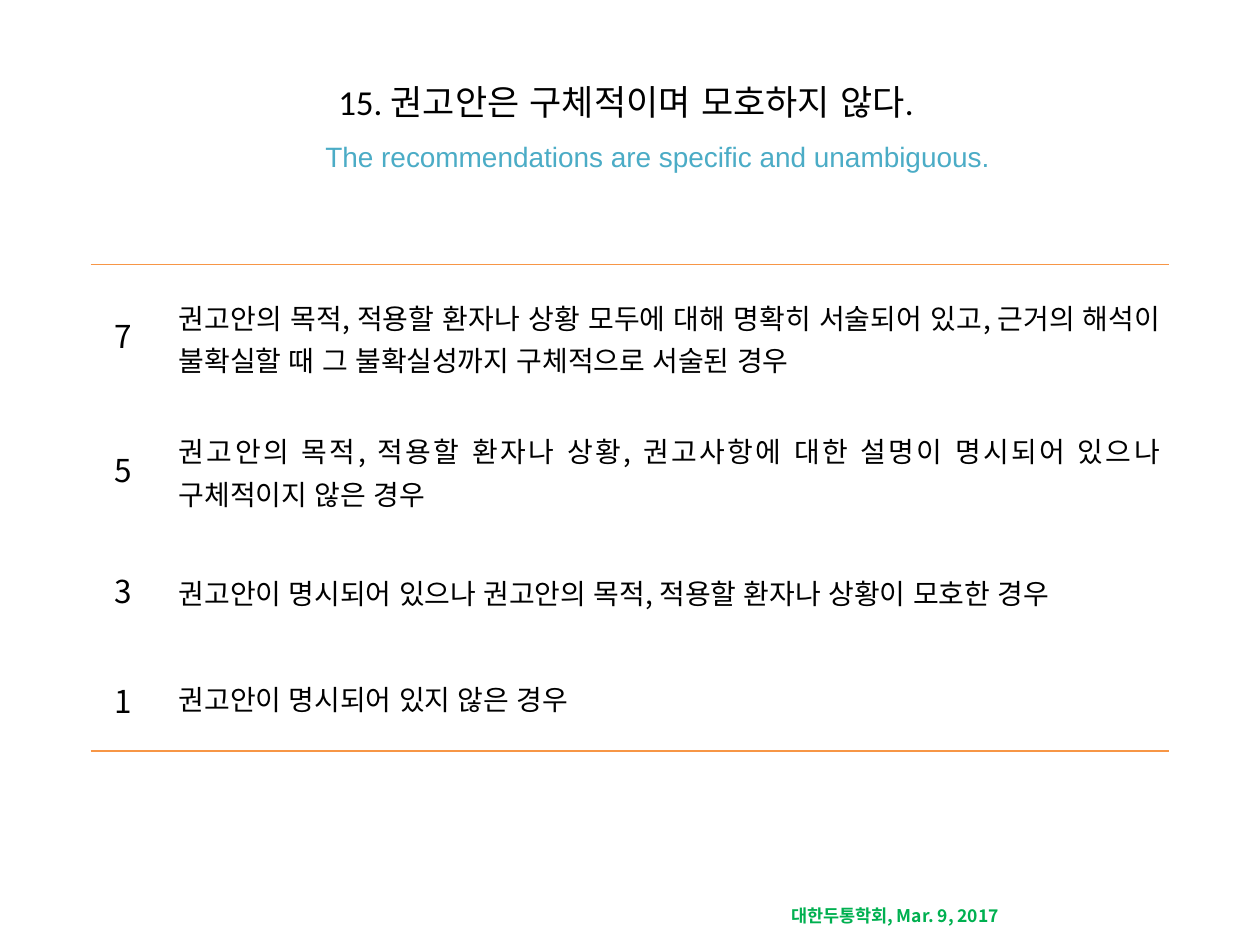
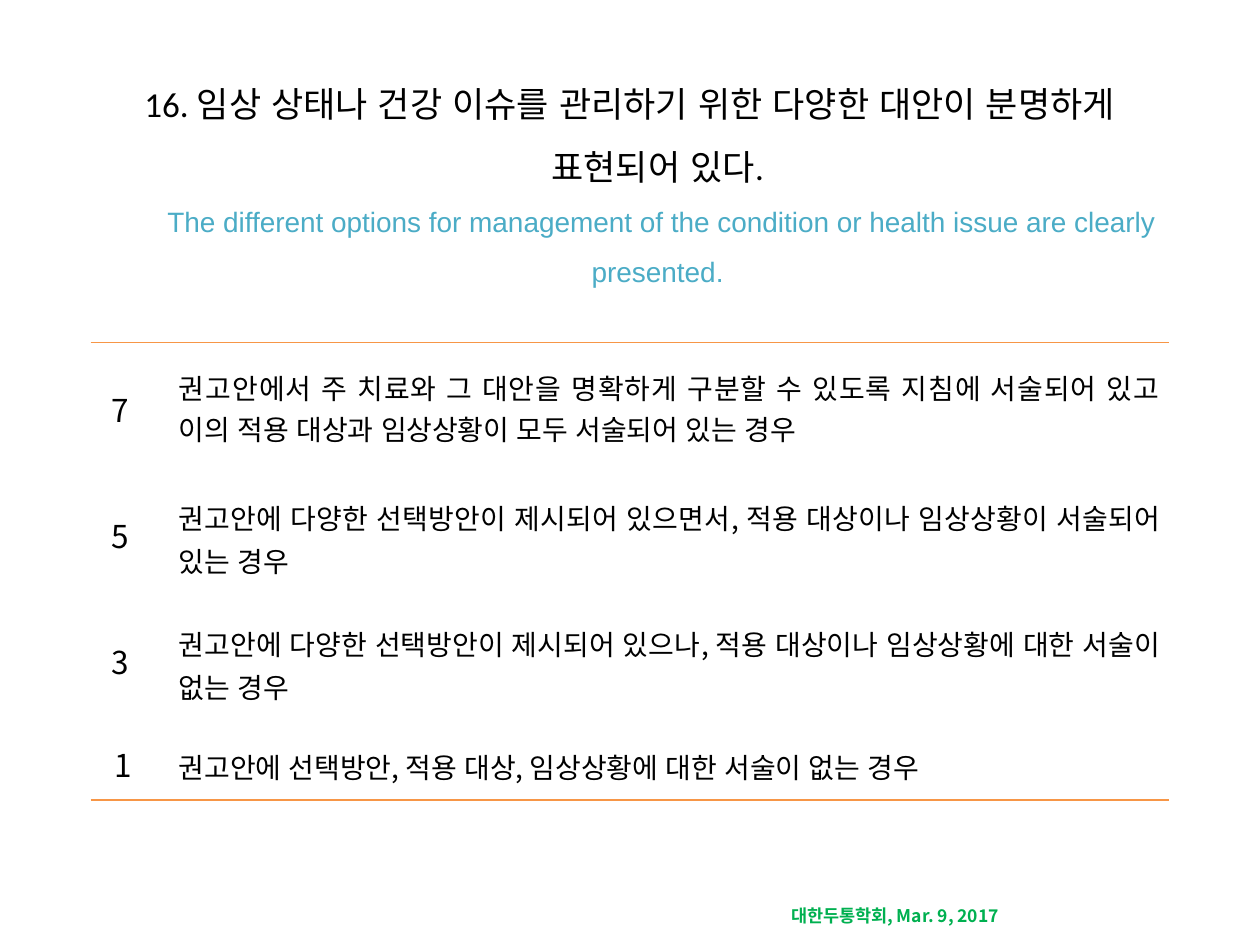
import pptx
import pptx.util
import pptx.dml.color
import pptx.enum.text
import pptx.oxml.ns
from lxml import etree

Inches = pptx.util.Inches
Pt = pptx.util.Pt
ALIGN = pptx.enum.text.PP_ALIGN
MIDDLE = pptx.enum.text.MSO_ANCHOR.MIDDLE

COLORS = {"text": "000000", "english": "4BACC6", "rule": "F79646", "footer": "00B050"}
KOREAN = "Noto Sans CJK KR"
ENGLISH = "Arial"
FOOTER = "대한두통학회, Mar. 9, 2017"
TABLE_LEFT = 0.72
COLUMNS = (0.63, 7.93)

CRITERIA = [
    {
        "korean": "15. 권고안은 구체적이며 모호하지 않다. ",
        "english": "The recommendations are specific and unambiguous. ",
        "title_top": 0.3,
        "title_height": 1.25,
        "table_top": 2.1,
        "row_heights": (1.06, 1.06, 0.87, 0.87),
        "scores": [
            ("7", "권고안의 목적, 적용할 환자나 상황 모두에 대해 명확히 서술되어 있고, 근거의 해석이 불확실할 때 그 불확실성까지 구체적으로 서술된 경우"),
            ("5", "권고안의 목적, 적용할 환자나 상황, 권고사항에 대한 설명이 명시되어 있으나 구체적이지 않은 경우"),
            ("3", "권고안이 명시되어 있으나 권고안의 목적, 적용할 환자나 상황이 모호한 경우"),
            ("1", "권고안이 명시되어 있지 않은 경우"),
        ],
    },
    {
        "korean": "16. 임상 상태나 건강 이슈를 관리하기 위한 다양한 대안이 분명하게 표현되어 있다. ",
        "english": "The different options for management of the condition or health issue are clearly presented. ",
        "title_top": 0.61,
        "title_height": 1.56,
        "table_top": 2.72,
        "row_heights": (1, 1, 1, 0.63),
        "scores": [
            ("7 ", "권고안에서 주 치료와 그 대안을 명확하게 구분할 수 있도록 지침에 서술되어 있고 이의 적용 대상과 임상상황이 모두 서술되어 있는 경우"),
            ("5 ", "권고안에 다양한 선택방안이 제시되어 있으면서, 적용 대상이나 임상상황이 서술되어 있는 경우"),
            ("3 ", "권고안에 다양한 선택방안이 제시되어 있으나, 적용 대상이나 임상상황에 대한 서술이 없는 경우"),
            ("1", "권고안에 선택방안, 적용 대상, 임상상황에 대한 서술이 없는 경우"),
        ],
    },
]


def add_element(parent, tag, **attributes):
    return etree.SubElement(parent, pptx.oxml.ns.qn(tag), **attributes)


def add_span(para, text, size, color, font=KOREAN, east_asian=ENGLISH, bold=False):
    span = para.add_run()
    span.text = text
    span.font.size = Pt(size)
    span.font.bold = bold
    span.font.color.rgb = pptx.dml.color.RGBColor.from_string(COLORS[color])
    span.font.name = font
    add_element(span.font._element, "a:ea", typeface=east_asian)


def add_title(page, criterion):
    title = page.shapes.title
    title.left, title.width = Inches(0.5), Inches(9)
    title.top = Inches(criterion["title_top"])
    title.height = Inches(criterion["title_height"])
    frame = title.text_frame
    frame.auto_size = pptx.enum.text.MSO_AUTO_SIZE.NONE
    frame.vertical_anchor = MIDDLE
    para = frame.paragraphs[0]
    para.alignment = ALIGN.CENTER
    para.line_spacing = 1.5
    properties = para._p.get_or_add_pPr()
    properties.set("marL", str(Inches(0.5)))
    properties.set("indent", str(Inches(-0.5)))
    add_span(para, criterion["korean"], 20, "text", "Calibri")
    para.add_line_break()
    add_span(para, criterion["english"], 16, "english", ENGLISH)


def add_borders(cell, ruled_sides):
    properties = cell._tc.get_or_add_tcPr()
    for side in "LRTB":
        line = add_element(properties, "a:ln" + side, w=str(Pt(1)))
        if side in ruled_sides:
            fill = add_element(line, "a:solidFill")
            add_element(fill, "a:srgbClr", val=COLORS["rule"])
        else:
            add_element(line, "a:noFill")


def fill_cell(cell, text, size, alignment, spacing, right_margin, ruled_sides):
    cell.vertical_anchor = MIDDLE
    cell.margin_left = Inches(0.07)
    cell.margin_right = Inches(right_margin)
    cell.margin_top = cell.margin_bottom = 0
    add_borders(cell, ruled_sides)
    cell.fill.background()
    para = cell.text_frame.paragraphs[0]
    para.alignment = alignment
    para.line_spacing = spacing
    add_span(para, text, size, "text")


def add_score_table(page, criterion):
    scores, heights = criterion["scores"], criterion["row_heights"]
    table = page.shapes.add_table(
        len(scores), len(COLUMNS), Inches(TABLE_LEFT), Inches(criterion["table_top"]),
        Inches(sum(COLUMNS)), Inches(sum(heights))).table
    table.first_row = table.horz_banding = False
    for column, width in zip(table.columns, COLUMNS):
        column.width = Inches(width)
    for index, (score, meaning) in enumerate(scores):
        table.rows[index].height = Inches(heights[index])
        ruled_sides = {0: "T", len(scores) - 1: "B"}.get(index, "")
        fill_cell(table.cell(index, 0), score, 18, ALIGN.CENTER, 1.15, 0.18, ruled_sides)
        fill_cell(table.cell(index, 1), meaning, 16, ALIGN.JUSTIFY, 1.3, 0.07, ruled_sides)


def add_footer(page):
    box = page.shapes.add_textbox(Inches(6.18), Inches(7.13), Inches(2.2), Inches(0.27))
    box.text_frame.word_wrap = True
    add_span(box.text_frame.paragraphs[0], FOOTER, 10, "footer", east_asian=KOREAN, bold=True)


def main():
    deck = pptx.Presentation()
    deck.slide_width, deck.slide_height = Inches(10), Inches(7.5)
    for criterion in CRITERIA:
        page = deck.slides.add_slide(deck.slide_layouts.get_by_name("Title Only"))
        add_footer(page)
        add_title(page, criterion)
        add_score_table(page, criterion)
    deck.save("out.pptx")


if __name__ == "__main__":
    main()
